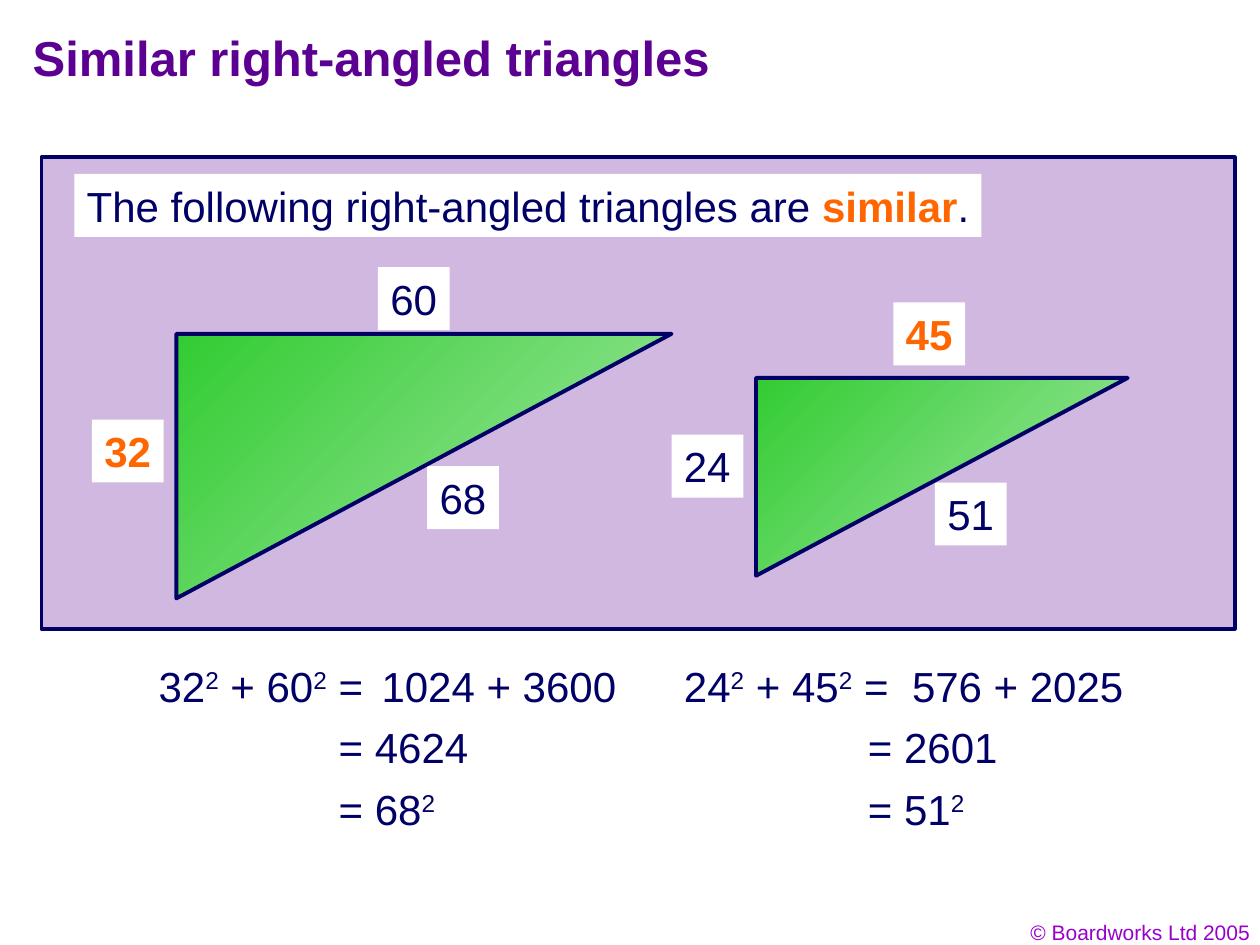
import pptx
import pptx.util
import pptx.dml.color
import pptx.enum.shapes
import pptx.enum.text

RGBColor = pptx.dml.color.RGBColor
Inches = pptx.util.Inches
Pt = pptx.util.Pt
Shape = pptx.enum.shapes.MSO_SHAPE
Align = pptx.enum.text.PP_ALIGN

WHITE = RGBColor(0xFF, 0xFF, 0xFF)
PURPLE = RGBColor(0x5B, 0x00, 0x91)
VIOLET = RGBColor(0x99, 0x00, 0xCC)
LILAC = RGBColor(0xD0, 0xB8, 0xE0)
NAVY = RGBColor(0x00, 0x00, 0x66)
INK = RGBColor(0x01, 0x00, 0x66)
ORANGE = RGBColor(0xFF, 0x66, 0x00)
LIGHT_GREEN = RGBColor(0xA7, 0xE8, 0xA7)
GREEN = RGBColor(0x33, 0xCC, 0x33)

LINE_HEIGHT = 0.5
ROW_STEP = 0.49
LABEL_WIDTH = 0.57


def add_span(para, text, size=24, color=INK, bold=False, raised=False):
    span = para.add_run()
    span.text = text
    span.font.name = "Arial"
    span.font.size = Pt(size)
    span.font.bold = bold
    span.font.color.rgb = color
    if raised:
        span.font._element.set("baseline", "30000")


def prepare_line(box):
    frame = box.text_frame
    frame.word_wrap = True
    frame.margin_right = Inches(0.02)
    frame.paragraphs[0].alignment = Align.LEFT
    return frame.paragraphs[0]


def outline(shape):
    shape.shadow.inherit = False
    shape.line.color.rgb = NAVY
    shape.line.width = Pt(2.25)


def add_title(page, left, top, width, height):
    title = page.shapes.title
    title.left, title.top = Inches(left), Inches(top)
    title.width, title.height = Inches(width), Inches(height)
    title.text_frame.vertical_anchor = pptx.enum.text.MSO_ANCHOR.MIDDLE
    para = title.text_frame.paragraphs[0]
    para.alignment = Align.LEFT
    add_span(para, "Similar right-angled triangles", 28, PURPLE, True)


def add_label(page, left, top, width, *spans):
    label = page.shapes.add_shape(
        Shape.RECTANGLE, Inches(left), Inches(top), Inches(width), Inches(LINE_HEIGHT))
    label.shadow.inherit = False
    label.fill.solid()
    label.fill.fore_color.rgb = WHITE
    label.line.fill.background()
    para = prepare_line(label)
    for text, highlighted in spans:
        add_span(para, text, color=ORANGE if highlighted else INK, bold=highlighted)


def add_triangle(page, left, top, width, height, sides):
    for text, highlighted, across, down in sides:
        add_label(page, left + across, top + down, LABEL_WIDTH, (text, highlighted))
    triangle = page.shapes.add_shape(
        Shape.RIGHT_TRIANGLE, Inches(left), Inches(top), Inches(width), Inches(height))
    triangle._element.spPr.xfrm.set("flipV", "1")
    outline(triangle)
    triangle.fill.gradient()
    triangle.fill.gradient_angle = 225
    for stop, color in zip(triangle.fill.gradient_stops, (LIGHT_GREEN, GREEN)):
        stop.color.rgb = color


def add_panel(page, left, top, width, height):
    panel = page.shapes.add_shape(
        Shape.RECTANGLE, Inches(left), Inches(top), Inches(width), Inches(height))
    outline(panel)
    panel.fill.solid()
    panel.fill.fore_color.rgb = LILAC
    add_label(page, left + 0.26, top + 0.13, 7.2,
              ("The following right-angled triangles are ", False),
              ("similar", True), (".", False))
    add_triangle(page, left + 1.07, top + 1.4, 3.93, 2.1, [
        ("32", True, -0.67, 0.68), ("60", False, 1.6, -0.53), ("68", False, 1.99, 1.05)])
    add_triangle(page, left + 5.67, top + 1.75, 2.95, 1.57, [
        ("24", False, -0.67, 0.45), ("45", True, 1.09, -0.6), ("51", False, 1.42, 0.83)])


def add_expression(page, left, top, width, text):
    box = page.shapes.add_textbox(
        Inches(left), Inches(top), Inches(width), Inches(LINE_HEIGHT))
    para = prepare_line(box)
    for index, part in enumerate(text.split("²")):
        if index:
            add_span(para, "2", raised=True)
        if part:
            add_span(para, part)


def add_working(page, left, top, sum_left, result_left, squares, terms, total, square):
    add_expression(page, left, top, 1.82, squares)
    add_expression(page, left + sum_left, top, 2.06, terms)
    add_expression(page, left + result_left, top + ROW_STEP, 1.23, total)
    add_expression(page, left + result_left, top + 2 * ROW_STEP, 0.96, square)


def add_footer(page, left, top, width, height):
    box = page.shapes.add_textbox(
        Inches(left), Inches(top), Inches(width), Inches(height))
    box.text_frame.word_wrap = True
    para = box.text_frame.paragraphs[0]
    para.alignment = Align.RIGHT
    add_span(para, "© Boardworks Ltd 2005", 12, VIOLET)


def main():
    deck = pptx.Presentation()
    deck.slide_width, deck.slide_height = Inches(10), Inches(7.5)
    page = deck.slides.add_slide(deck.slide_layouts.get_by_name("Title Only"))
    add_footer(page, 7.69, 7.25, 2.33, 0.3)
    add_panel(page, 0.33, 1.25, 9.47, 3.74)
    add_title(page, 0.16, 0.12, 8.5, 0.67)
    add_working(page, 1.16, 5.19, 1.77, 1.43,
                "32² + 60² =", "1024 + 3600", "= 4624", "= 68²")
    add_working(page, 5.33, 5.19, 1.81, 1.46,
                "24² + 45² =", "576 + 2025", "= 2601", "= 51²")
    deck.save("out.pptx")


if __name__ == "__main__":
    main()
